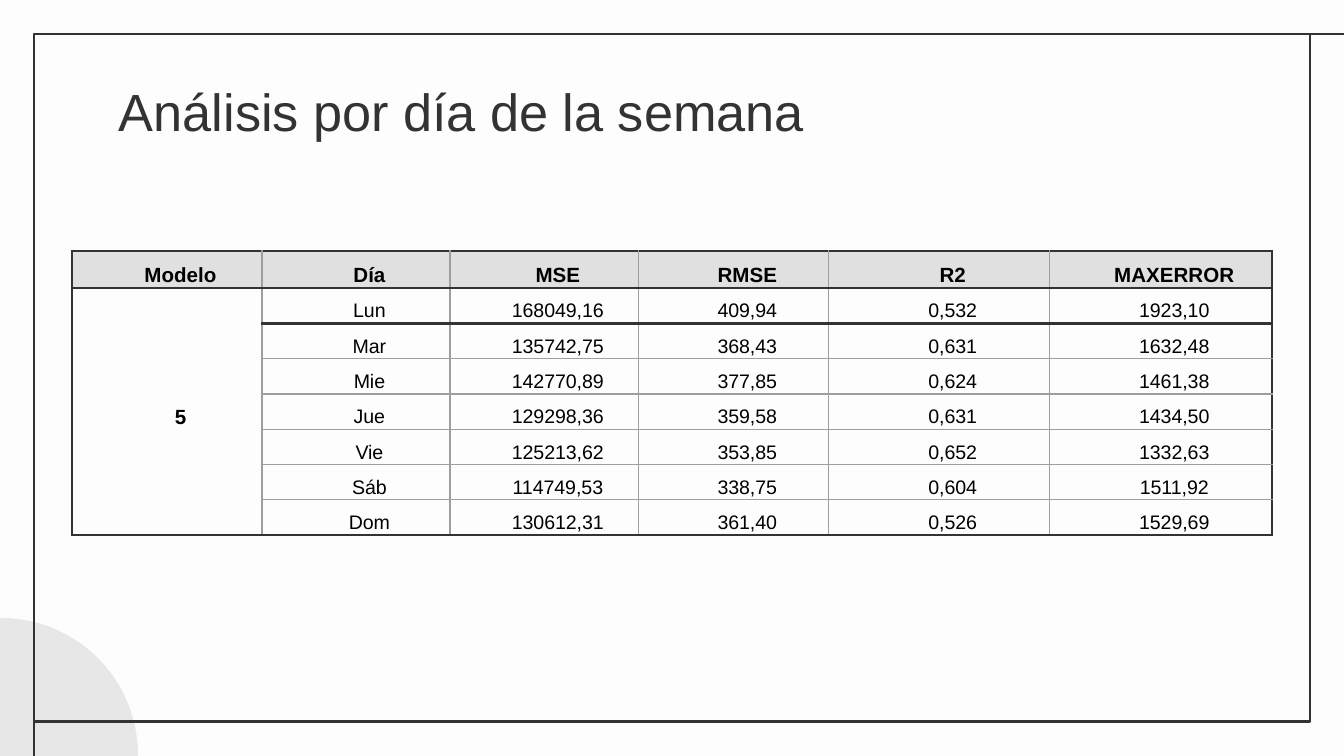
from dataclasses import dataclass

from lxml.etree import SubElement
from pptx import Presentation
from pptx.dml.color import RGBColor
from pptx.enum.shapes import MSO_CONNECTOR, MSO_SHAPE
from pptx.enum.text import MSO_ANCHOR, PP_ALIGN
from pptx.oxml.ns import qn
from pptx.util import Emu, Pt


@dataclass(frozen=True)
class Theme:
    back: str = "FDFDFD"
    ink: str = "333333"
    text: str = "000000"
    grid: str = "9E9E9E"
    head: str = "E0E0E0"
    disc: str = "E8E7E7"
    face: str = "Arial"
    title: float = 28
    label: float = 11
    body: float = 10.5
    thick: float = 1.5
    thin: float = 0.75


THEME = Theme()
SCALE = 914400 / 134.4
HEADS = ["Modelo", "Día", "MSE", "RMSE", "R2", "MAXERROR"]
DAYS = [
    ["Lun", "168049,16", "409,94", "0,532", "1923,10"],
    ["Mar", "135742,75", "368,43", "0,631", "1632,48"],
    ["Mie", "142770,89", "377,85", "0,624", "1461,38"],
    ["Jue", "129298,36", "359,58", "0,631", "1434,50"],
    ["Vie", "125213,62", "353,85", "0,652", "1332,63"],
    ["Sáb", "114749,53", "338,75", "0,604", "1511,92"],
    ["Dom", "130612,31", "361,40", "0,526", "1529,69"],
]
WIDTHS = [190, 188, 189, 190, 221, 222]


def px(num):
    return Emu(round(num * SCALE))


def rgb(code):
    return RGBColor.from_string(code)


def style(para, size, color, bold=False):
    font = para.font
    font.name = THEME.face
    font.size = Pt(size)
    font.bold = bold
    font.color.rgb = rgb(color)


def stroke(line):
    line.color.rgb = rgb(THEME.ink)
    line.width = Pt(THEME.thick)


def add_disc(slide, *box):
    disc = slide.shapes.add_shape(MSO_SHAPE.OVAL, *map(px, box))
    disc.shadow.inherit = False
    disc.fill.solid()
    disc.fill.fore_color.rgb = rgb(THEME.disc)
    disc.line.fill.background()


def add_frame(slide, *box):
    frame = slide.shapes.add_shape(MSO_SHAPE.RECTANGLE, *map(px, box))
    frame.shadow.inherit = False
    frame.fill.background()
    stroke(frame.line)


def add_rule(slide, *ends):
    rule = slide.shapes.add_connector(MSO_CONNECTOR.STRAIGHT, *map(px, ends))
    stroke(rule.line)
    SubElement(rule._element.spPr, qn("a:effectLst"))


def add_title(slide, text, *box):
    frame = slide.shapes.add_textbox(*map(px, box)).text_frame
    frame.word_wrap = True
    frame.margin_left = frame.margin_right = px(13)
    frame.margin_top = frame.margin_bottom = px(13)
    para = frame.paragraphs[0]
    para.text = text
    style(para, THEME.title, THEME.ink)


def add_edge(cell, side, heavy):
    width = Pt(THEME.thick if heavy else THEME.thin)
    edge = SubElement(cell._tc.get_or_add_tcPr(), qn(f"a:ln{side}"), w=str(width))
    fill = SubElement(edge, qn("a:solidFill"))
    SubElement(fill, qn("a:srgbClr"), val=THEME.ink if heavy else THEME.grid)


def fill_cell(cell, text, bold, size):
    cell.vertical_anchor = MSO_ANCHOR.MIDDLE
    cell.margin_left = cell.margin_right = px(1)
    cell.margin_top = cell.margin_bottom = 0
    para = cell.text_frame.paragraphs[0]
    para.text = text
    para.alignment = PP_ALIGN.CENTER
    para.line_spacing = 1.5
    props = para._p.get_or_add_pPr()
    props.set("marL", "0")
    props.set("indent", str(px(27)))
    style(para, size, THEME.text, bold)


def add_grid(slide, left, top, high):
    rows = [HEADS] + [["" if num else "5"] + day for num, day in enumerate(DAYS)]
    last, end = len(rows) - 1, len(HEADS) - 1
    holder = slide.shapes.add_table(
        len(rows), len(HEADS), px(left), px(top), px(sum(WIDTHS)), px(high))
    table = holder.table
    table.first_row = table.horz_banding = False
    for col, width in zip(table.columns, WIDTHS):
        col.width = px(width)
    for row in table.rows:
        row.height = px(16)
    holder.height = px(high)
    table.cell(1, 0).merge(table.cell(last, 0))
    for r, row in enumerate(rows):
        for c, text in enumerate(row):
            cell = table.cell(r, c)
            bold = r == 0 or c == 0
            fill_cell(cell, text, bold, THEME.label if bold else THEME.body)
            add_edge(cell, "L", c == 0)
            add_edge(cell, "R", c == end)
            add_edge(cell, "T", r <= 2)
            add_edge(cell, "B", r <= 1 or r == last)
            if r == 0:
                cell.fill.solid()
                cell.fill.fore_color.rgb = rgb(THEME.head)
            else:
                cell.fill.background()


def main():
    deck = Presentation()
    deck.slide_width, deck.slide_height = px(1344), px(756)
    slide = deck.slides.add_slide(deck.slide_layouts[6])
    slide.background.fill.solid()
    slide.background.fill.fore_color.rgb = rgb(THEME.back)
    add_disc(slide, -136, 618, 274, 274)
    add_frame(slide, 34, 34, 1276, 688)
    add_rule(slide, 1355, 34, 1310, 34)
    add_rule(slide, 34, 763, 34, 719)
    add_title(slide, "Análisis por día de la semana", 106, 66, 739, 85)
    add_grid(slide, 72, 251, 254)
    deck.save("out.pptx")


if __name__ == "__main__":
    main()
